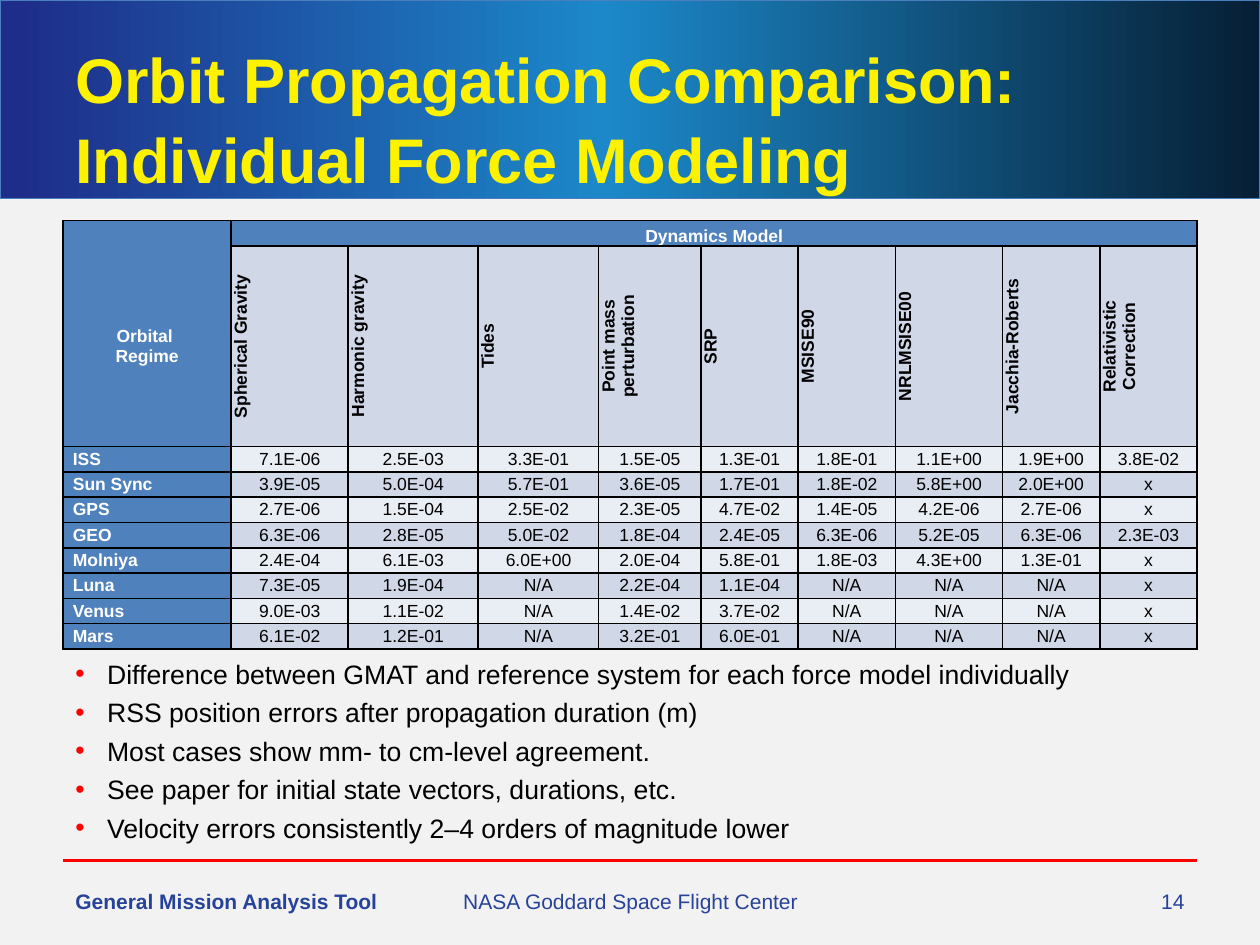
import pptx
import pptx.dml.color
import pptx.enum.shapes
import pptx.enum.text
import pptx.oxml
import pptx.oxml.ns
import pptx.util

Cm = pptx.util.Cm
Pt = pptx.util.Pt
ALIGN = pptx.enum.text.PP_ALIGN
MIDDLE = pptx.enum.text.MSO_ANCHOR.MIDDLE
BOTTOM = pptx.enum.text.MSO_ANCHOR.BOTTOM
NAMESPACE = pptx.oxml.ns.nsdecls("a")
COLORS = {
    "background": "F2F2F2", "banner left": "1E2D89", "banner middle": "1C88C9",
    "banner right": "061F35", "banner line": "4B7EBC", "title": "FFF200",
    "red": "FF0000", "footer": "274299", "header": "4F81BD",
    "dark band": "D0D8E8", "light band": "E9EDF4", "black": "000000", "white": "FFFFFF",
}


def rgb(name):
    return pptx.dml.color.RGBColor.from_string(COLORS[name])


def add_run(paragraph, text, size, color, bold=False):
    run = paragraph.add_run()
    run.text = text
    run.font.name = "Arial"
    run.font.size = Pt(size)
    run.font.bold = bold
    run.font.color.rgb = rgb(color)
    return run


presentation = pptx.Presentation()
presentation.slide_width = Cm(25.4)
presentation.slide_height = Cm(19.05)
slide = presentation.slides.add_slide(presentation.slide_layouts[6])
slide.background.fill.solid()
slide.background.fill.fore_color.rgb = rgb("background")

# Banner with a three-stop gradient
banner = slide.shapes.add_shape(
    pptx.enum.shapes.MSO_SHAPE.RECTANGLE, 0, 0, Cm(25.4), Cm(4.01))
banner.shadow.inherit = False
banner.fill.gradient()
banner.fill.gradient_angle = 0
stops = banner.fill.gradient_stops
stops[0].position, stops[0].color.rgb = 0.01, rgb("banner left")
stops[1].position, stops[1].color.rgb = 1, rgb("banner right")
stop_list = banner._element.spPr.find(".//" + pptx.oxml.ns.qn("a:gsLst"))
stop_list.insert(1, pptx.oxml.parse_xml(
    f'<a:gs {NAMESPACE} pos="48000"><a:srgbClr val="{COLORS["banner middle"]}"/></a:gs>'))
banner.line.color.rgb = rgb("banner line")
banner.line.width = Pt(0.75)

# Red rule above the footer
rule = slide.shapes.add_connector(
    pptx.enum.shapes.MSO_CONNECTOR.STRAIGHT, Cm(1.27), Cm(17.35), Cm(24.13), Cm(17.35))
rule.line.color.rgb = rgb("red")
rule.line.width = Pt(2)
rule._element.spPr.append(pptx.oxml.parse_xml(f"<a:effectLst {NAMESPACE}/>"))

# Table contents
models = ["Spherical Gravity", "Harmonic gravity", "Tides", "Point mass perturbation",
          "SRP", "MSISE90", "NRLMSISE00", "Jacchia-Roberts", "Relativistic Correction"]
regimes = {
    "ISS": "7.1E-06 2.5E-03 3.3E-01 1.5E-05 1.3E-01 1.8E-01 1.1E+00 1.9E+00 3.8E-02",
    "Sun Sync": "3.9E-05 5.0E-04 5.7E-01 3.6E-05 1.7E-01 1.8E-02 5.8E+00 2.0E+00 x",
    "GPS": "2.7E-06 1.5E-04 2.5E-02 2.3E-05 4.7E-02 1.4E-05 4.2E-06 2.7E-06 x",
    "GEO": "6.3E-06 2.8E-05 5.0E-02 1.8E-04 2.4E-05 6.3E-06 5.2E-05 6.3E-06 2.3E-03",
    "Molniya": "2.4E-04 6.1E-03 6.0E+00 2.0E-04 5.8E-01 1.8E-03 4.3E+00 1.3E-01 x",
    "Luna": "7.3E-05 1.9E-04 N/A 2.2E-04 1.1E-04 N/A N/A N/A x",
    "Venus": "9.0E-03 1.1E-02 N/A 1.4E-02 3.7E-02 N/A N/A N/A x",
    "Mars": "6.1E-02 1.2E-01 N/A 3.2E-01 6.0E-01 N/A N/A N/A x",
}
rows = [["", "Dynamics Model"] + [""] * 8, ["Orbital \vRegime"] + models]
rows += [[regime] + values.split() for regime, values in regimes.items()]
column_widths = [3.39, 2.36, 2.62, 2.43, 2.06, 1.96, 1.96, 2.16, 1.96, 1.96]
row_heights = [0.51, 3.89] + [0.51] * len(regimes)

# Table of errors by regime and force model
frame = slide.shapes.add_table(
    len(rows), len(column_widths), Cm(1.27), Cm(4.45),
    Cm(sum(column_widths)), Cm(sum(row_heights)))
table = frame.table
table.first_row = table.horz_banding = False
for column, width in zip(table.columns, column_widths):
    column.width = Cm(width)
for row, height in zip(table.rows, row_heights):
    row.height = Cm(height)
table.cell(0, 1).merge(table.cell(0, 9))

for row_index, texts in enumerate(rows):
    for column_index, text in enumerate(texts):
        cell = table.cell(row_index, column_index)
        is_header = row_index == 0 or column_index == 0
        cell.margin_left = cell.margin_right = Cm(0.2)
        cell.margin_top = cell.margin_bottom = 0
        cell.vertical_anchor = BOTTOM if row_index == 0 else MIDDLE
        properties = cell._tc.get_or_add_tcPr()
        if row_index == 1 and column_index > 0:
            properties.set("vert", "vert270")

        # The two corner cells have no line between them
        open_side = {(0, 0): "B", (1, 0): "T"}.get((row_index, column_index))
        for side in "LRTB":
            paint = "<a:noFill/>" if side == open_side else (
                f'<a:solidFill><a:srgbClr val="{COLORS["black"]}"/></a:solidFill>')
            properties.append(pptx.oxml.parse_xml(
                f'<a:ln{side} {NAMESPACE} w="12700">{paint}</a:ln{side}>'))
        cell.fill.solid()
        band = "light band" if row_index % 2 == 0 else "dark band"
        cell.fill.fore_color.rgb = rgb("header" if is_header else band)

        paragraph = cell.text_frame.paragraphs[0]
        is_regime = column_index == 0 and row_index > 1
        paragraph.alignment = ALIGN.LEFT if is_regime else ALIGN.CENTER
        if not text:
            paragraph._p.append(pptx.oxml.parse_xml(f'<a:endParaRPr {NAMESPACE} sz="1000"/>'))
            continue
        for line_index, line in enumerate(text.split("\v")):
            if line_index:
                paragraph.add_line_break()
            add_run(paragraph, line, 10, "white" if is_header else "black",
                    is_header or row_index == 1)

# Footer
footers = [
    (1.27, 6.99, "General Mission Analysis Tool", ALIGN.LEFT, True),
    (8.69, 8.05, "NASA Goddard Space Flight Center", ALIGN.CENTER, False),
    (18.21, 5.92, "14", ALIGN.RIGHT, False),
]
for left, width, text, alignment, bold in footers:
    footer = slide.shapes.add_textbox(Cm(left), Cm(17.65), Cm(width), Cm(1.02))
    footer.text_frame.word_wrap = True
    footer.text_frame.vertical_anchor = MIDDLE
    paragraph = footer.text_frame.paragraphs[0]
    paragraph.alignment = alignment
    add_run(paragraph, text, 12, "footer", bold)

# Title with a soft text shadow
title = slide.shapes.add_textbox(Cm(1.27), Cm(0.76), Cm(22.86), Cm(3.18))
title.text_frame.word_wrap = True
title.text_frame.vertical_anchor = MIDDLE
paragraph = title.text_frame.paragraphs[0]
paragraph.line_spacing = 1.05
for line_index, line in enumerate(
        ["Orbit Propagation Comparison:", "Individual Force Modeling"]):
    if line_index:
        paragraph.add_line_break()
        paragraph._p[-1].get_or_add_rPr().set("sz", "3600") if hasattr(
            paragraph._p[-1], "get_or_add_rPr") else None
    run = add_run(paragraph, line, 36, "title", True)
    run_fill = run._r.rPr.find(pptx.oxml.ns.qn("a:solidFill"))
    run_fill.addnext(pptx.oxml.parse_xml(
        f'<a:effectLst {NAMESPACE}><a:outerShdw blurRad="38100" dist="38100" dir="2700000">'
        f'<a:srgbClr val="{COLORS["black"]}"><a:alpha val="60000"/></a:srgbClr>'
        '</a:outerShdw></a:effectLst>'))

# Bulleted findings
findings = slide.shapes.add_textbox(Cm(1.27), Cm(13.13), Cm(22.86), Cm(3.89))
findings.text_frame.word_wrap = True
for index, text in enumerate([
        "Difference between GMAT and reference system for each force model individually",
        "RSS position errors after propagation duration (m)",
        "Most cases show mm- to cm-level agreement.",
        "See paper for initial state vectors, durations, etc.",
        "Velocity errors consistently 2–4 orders of magnitude lower"]):
    paragraph = (findings.text_frame.add_paragraph() if index
                 else findings.text_frame.paragraphs[0])
    properties = paragraph._p.get_or_add_pPr()
    properties.set("marL", str(Cm(0.64)))
    properties.set("indent", str(-Cm(0.64)))
    for bullet in (f'<a:buClr {NAMESPACE}><a:srgbClr val="{COLORS["red"]}"/></a:buClr>',
                   f'<a:buFont {NAMESPACE} typeface="Arial"/>',
                   f'<a:buChar {NAMESPACE} char="•"/>'):
        properties.append(pptx.oxml.parse_xml(bullet))
    if index:
        paragraph.space_before = Pt(3.8)
    add_run(paragraph, text, 15.2, "black")

presentation.save("out.pptx")
